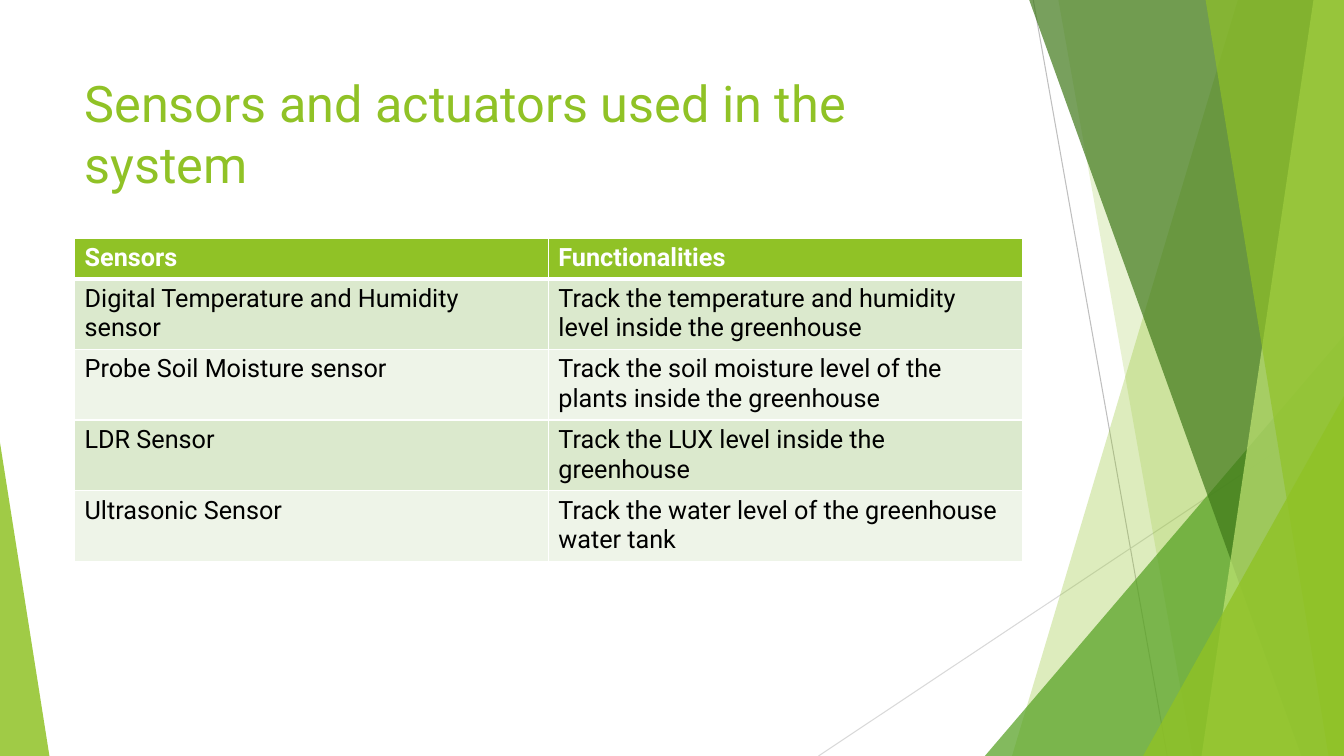
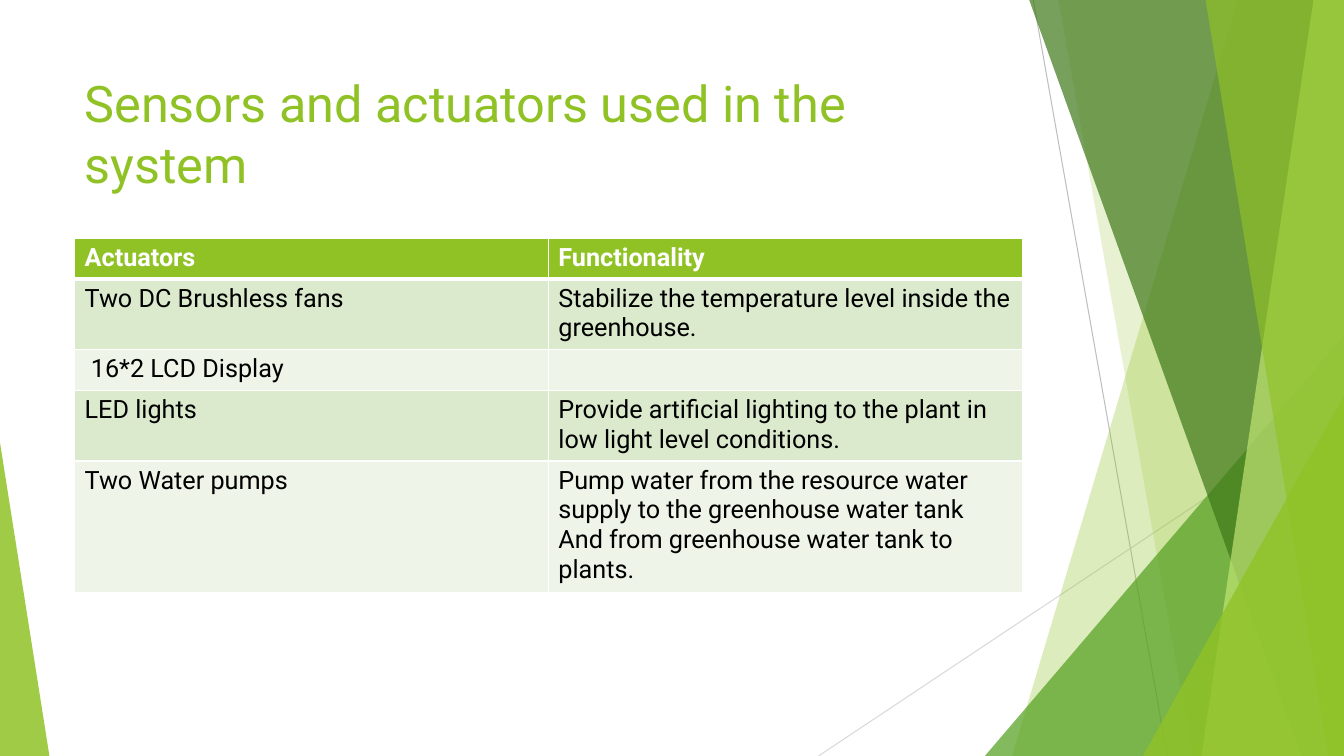
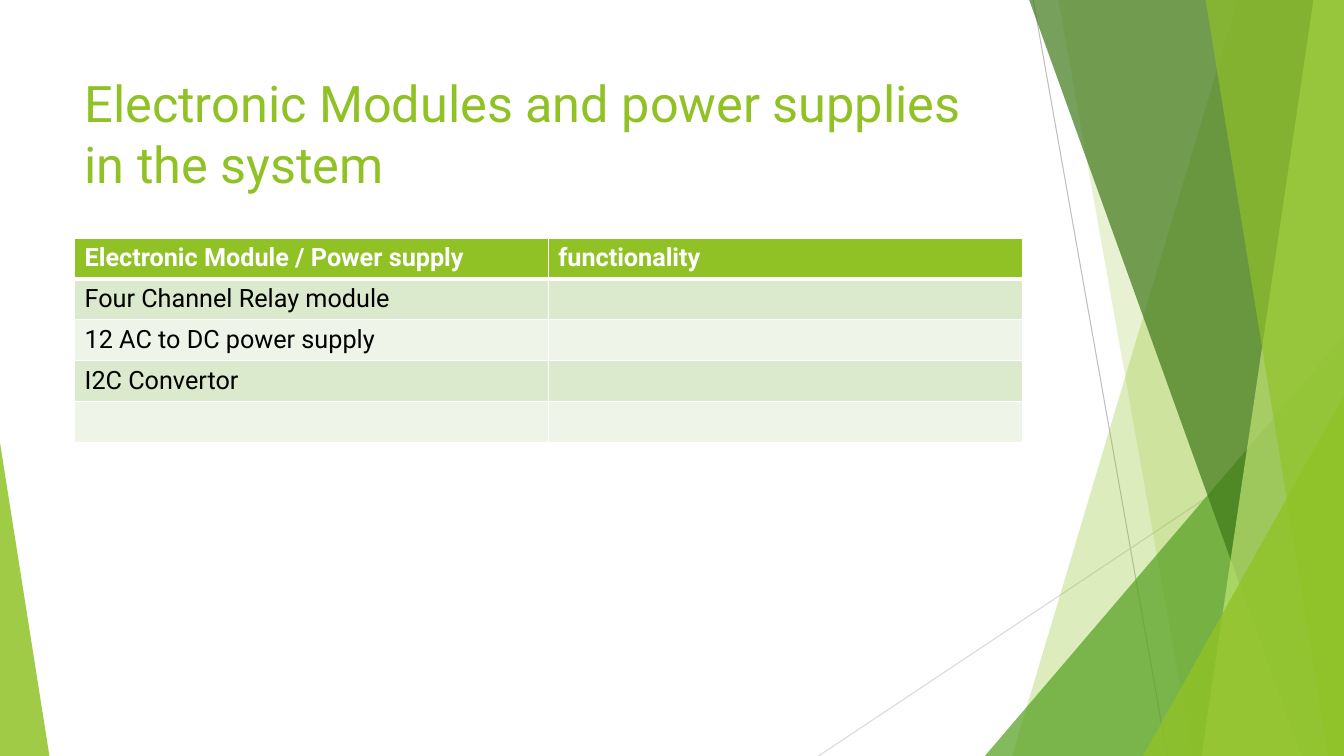
from dataclasses import dataclass

from lxml.etree import SubElement
from pptx import Presentation
from pptx.dml.color import RGBColor
from pptx.dml.fill import FillFormat
from pptx.enum.shapes import MSO_CONNECTOR, MSO_SHAPE
from pptx.enum.text import MSO_ANCHOR
from pptx.oxml.ns import qn
from pptx.shapes.autoshape import Shape
from pptx.slide import Slide
from pptx.table import _Cell
from pptx.text.text import _Paragraph
from pptx.util import Emu, Inches, Pt

# Shared look
WIDTH, HEIGHT = Inches(13.33), Inches(7.5)
FONT = "Roboto"
LIME, WHITE, BLACK = "90C226", "FFFFFF", "000000"
BANDS = ("DBE9CD", "EEF4E8")
TITLE_TEXT = {"name": FONT, "size": Pt(36), "bold": False}
HEADER_TEXT = {"name": FONT, "size": Pt(18), "bold": True}
BODY_TEXT = {**HEADER_TEXT, "bold": False}
HEADER_BORDERS = {"L": 1, "R": 1, "T": 1, "B": 3}

# Shares of the slide, in percent
CONTENT_LEFT, CONTENT_WIDTH = 5.55, 70.5
TITLE_TOP, TITLE_HEIGHT = 8.93, 19.2
TABLE_TOP, ROW_HEIGHT = 31.47, 5.42


def across(percent: float) -> Emu:
    return Emu(round(WIDTH * percent / 100))


def down(percent: float) -> Emu:
    return Emu(round(HEIGHT * percent / 100))


def colour(hex_value: str) -> RGBColor:
    return RGBColor.from_string(hex_value)


def paint(fill: FillFormat, hex_value: str) -> None:
    fill.solid()
    fill.fore_color.rgb = colour(hex_value)


# Decoration
@dataclass(frozen=True)
class Ray:
    start: tuple[float, float]
    end: tuple[float, float]
    tint: str


@dataclass(frozen=True)
class Panel:
    """Reaches the right edge; its left side slants from top to bottom."""
    top_x: float
    bottom_x: float
    tint: str
    opacity: int


@dataclass(frozen=True)
class Wedge:
    """Right triangle standing on the bottom edge; peak 0 is left, 1 right."""
    left: float
    right: float
    top: float
    peak: int
    tint: str
    opacity: int


RAYS = (
    Ray((76.88, 0), (86.85, 100), "BFBFBF"),
    Ray((100, 53.73), (60.9, 100), "D9D9D9"),
)
FACETS = (
    Panel(92.1, 75.3, LIME, 30),
    Panel(78.75, 88.73, LIME, 20),
    Wedge(73.28, 100, 44.4, 1, "54A021", 72),
    Panel(76.58, 96.83, "3F7819", 70),
    Panel(97.73, 89.4, "C0E474", 70),
    Panel(89.7, 98.85, LIME, 65),
    Wedge(85.05, 100, 52.4, 1, LIME, 80),
    Wedge(0, 3.68, 58.53, 0, LIME, 85),
)


def draw_ray(slide: Slide, ray: Ray) -> None:
    (x1, y1), (x2, y2) = ray.start, ray.end
    line = slide.shapes.add_connector(
        MSO_CONNECTOR.STRAIGHT, across(x1), down(y1), across(x2), down(y2))
    line.line.width = Pt(0.75)
    line.line.color.rgb = colour(ray.tint)
    SubElement(line._element.spPr, qn("a:effectLst"))


def panel_shape(slide: Slide, panel: Panel) -> Shape:
    outline = slide.shapes.build_freeform(across(panel.top_x), 0)
    outline.add_line_segments(
        [(WIDTH, 0), (WIDTH, HEIGHT), (across(panel.bottom_x), HEIGHT)])
    return outline.convert_to_shape()


def wedge_shape(slide: Slide, wedge: Wedge) -> Shape:
    triangle = slide.shapes.add_shape(
        MSO_SHAPE.ISOSCELES_TRIANGLE, across(wedge.left), down(wedge.top),
        across(wedge.right - wedge.left), down(100 - wedge.top))
    triangle.adjustments[0] = wedge.peak
    return triangle


def draw_facet(slide: Slide, facet: Panel | Wedge) -> None:
    build = panel_shape if isinstance(facet, Panel) else wedge_shape
    shape = build(slide, facet)
    shape.shadow.inherit = False
    shape.line.fill.background()
    paint(shape.fill, facet.tint)
    tint = shape._element.spPr.find(f"{qn('a:solidFill')}/{qn('a:srgbClr')}")
    SubElement(tint, qn("a:alpha"), val=str(facet.opacity * 1000))


# Text and tables
def write(paragraph: _Paragraph, text: str, style: dict, tint: str) -> None:
    run = paragraph.add_run()
    run.text = text
    for attribute, value in style.items():
        setattr(run.font, attribute, value)
    run.font.color.rgb = colour(tint)


def draw_title(slide: Slide, title: str) -> None:
    frame = slide.shapes.add_textbox(
        across(CONTENT_LEFT), down(TITLE_TOP),
        across(CONTENT_WIDTH), down(TITLE_HEIGHT)).text_frame
    frame.word_wrap = True
    frame.vertical_anchor = MSO_ANCHOR.TOP
    write(frame.paragraphs[0], title, TITLE_TEXT, LIME)


def draw_borders(cell: _Cell, widths: dict[str, int]) -> None:
    properties = cell._tc.get_or_add_tcPr()
    for side, points in widths.items():
        border = SubElement(properties, qn(f"a:ln{side}"), w=str(Pt(points)))
        SubElement(SubElement(border, qn("a:solidFill")), qn("a:srgbClr"), val=WHITE)


def fill_cell(cell: _Cell, row: int, text: str) -> None:
    # Body cells take their thin white borders from the table style
    if row == 0:
        draw_borders(cell, HEADER_BORDERS)
    paint(cell.fill, BANDS[(row - 1) % 2] if row else LIME)
    style, tint = (BODY_TEXT, BLACK) if row else (HEADER_TEXT, WHITE)
    frame = cell.text_frame
    for index, line in enumerate(text.splitlines()):
        paragraph = frame.add_paragraph() if index else frame.paragraphs[0]
        write(paragraph, line, style, tint)


def draw_table(slide: Slide, rows: tuple[tuple[str, str], ...]) -> None:
    table = slide.shapes.add_table(
        len(rows), len(rows[0]), across(CONTENT_LEFT), down(TABLE_TOP),
        across(CONTENT_WIDTH), down(ROW_HEIGHT * len(rows))).table
    for row, texts in enumerate(rows):
        for column, text in enumerate(texts):
            fill_cell(table.cell(row, column), row, text)


# Content
@dataclass(frozen=True)
class Inventory:
    title: str
    rows: tuple[tuple[str, str], ...]


DEVICES_TITLE = "Sensors and actuators used in the system"
INVENTORIES = (
    Inventory(DEVICES_TITLE, (
        ("Sensors", "Functionalities"),
        ("Digital Temperature and Humidity sensor",
         "Track the temperature and humidity level inside the greenhouse"),
        ("Probe Soil Moisture sensor",
         "Track the soil moisture level of the plants inside the greenhouse"),
        ("LDR Sensor", "Track the LUX level inside the greenhouse"),
        ("Ultrasonic Sensor", "Track the water level of the greenhouse water tank"),
    )),
    Inventory(DEVICES_TITLE, (
        ("Actuators", "Functionality"),
        ("Two DC Brushless fans",
         "Stabilize the temperature level inside the greenhouse."),
        (" 16*2 LCD Display", ""),
        ("LED lights",
         "Provide artificial lighting to the plant in low light level conditions."),
        ("Two Water pumps",
         "Pump water from the resource water supply to the greenhouse water tank\n"
         "And from greenhouse water tank to plants."),
    )),
    Inventory("Electronic Modules and power supplies in the system", (
        ("Electronic Module / Power supply", "functionality"),
        ("Four Channel Relay module", ""),
        ("12 AC to DC power supply", ""),
        ("I2C Convertor", ""),
        ("", ""),
    )),
)


def main() -> None:
    deck = Presentation()
    deck.slide_width, deck.slide_height = WIDTH, HEIGHT
    blank = deck.slide_layouts[6]
    for inventory in INVENTORIES:
        slide = deck.slides.add_slide(blank)
        for ray in RAYS:
            draw_ray(slide, ray)
        for facet in FACETS:
            draw_facet(slide, facet)
        draw_title(slide, inventory.title)
        draw_table(slide, inventory.rows)
    deck.save("out.pptx")


if __name__ == "__main__":
    main()
